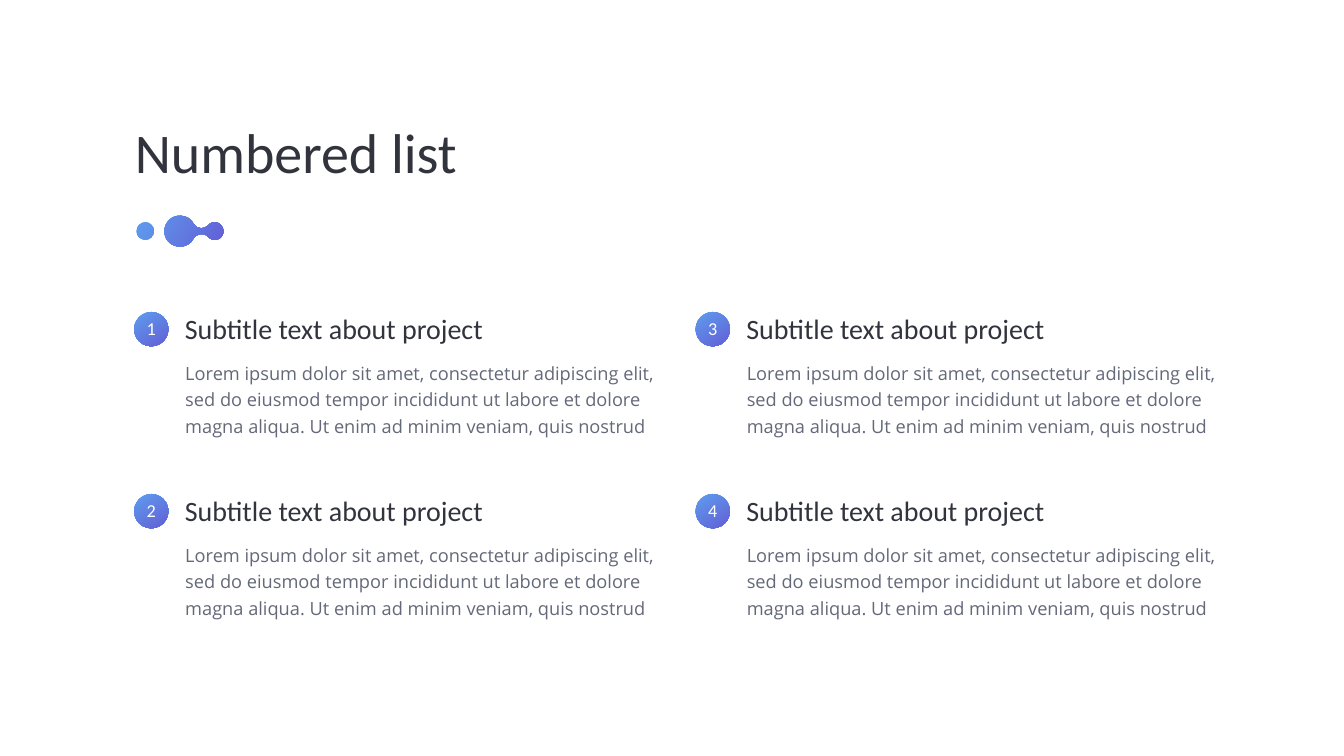
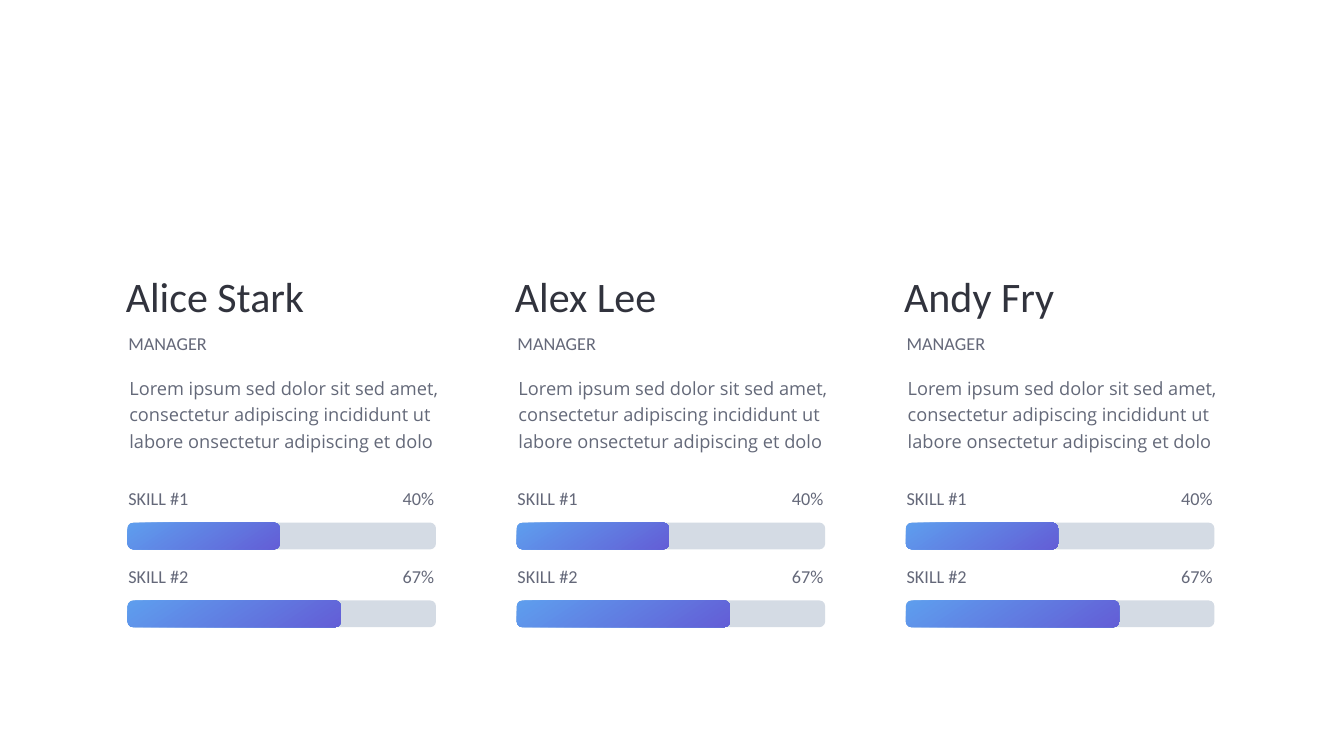
from dataclasses import dataclass

from lxml.etree import SubElement
from pptx import Presentation
from pptx.dml.color import RGBColor
from pptx.enum.shapes import MSO_SHAPE
from pptx.enum.text import MSO_ANCHOR, MSO_AUTO_SIZE, PP_ALIGN
from pptx.oxml.ns import qn
from pptx.shapes.autoshape import Shape
from pptx.slide import Slide
from pptx.util import Pt

# Shared look
INK = RGBColor(0x31, 0x33, 0x3D)
BODY_GREY = RGBColor(0x64, 0x69, 0x79)
LABEL_GREY = RGBColor(0x64, 0x68, 0x79)
TRACK_GREY = RGBColor(0xD4, 0xDB, 0xE4)
WHITE = RGBColor(0xFF, 0xFF, 0xFF)
SKY = RGBColor(0x5E, 0x9E, 0xEE)
VIOLET = RGBColor(0x63, 0x5E, 0xD6)
INSET = Pt(4)


@dataclass(frozen=True)
class TextStyle:
    size: float
    color: RGBColor
    font: str = "Calibri"
    align: PP_ALIGN = PP_ALIGN.LEFT
    anchor: MSO_ANCHOR = MSO_ANCHOR.MIDDLE
    line_spacing: float = 1.0


TITLE = TextStyle(80, INK)
NAME = TextStyle(60, INK)
SUBTITLE = TextStyle(40, INK)
BODY = TextStyle(26, BODY_GREY, "Open Sans", anchor=MSO_ANCHOR.TOP, line_spacing=1.2)
LABEL = TextStyle(26, LABEL_GREY)
PERCENT = TextStyle(26, LABEL_GREY, align=PP_ALIGN.RIGHT)
NUMBER = TextStyle(26, WHITE, align=PP_ALIGN.CENTER)


@dataclass(frozen=True)
class Box:
    left: float
    top: float
    width: float
    height: float

    def moved(self, dx: float, dy: float = 0) -> "Box":
        return Box(self.left + dx, self.top + dy, self.width, self.height)

    def lengths(self) -> tuple[Pt, Pt, Pt, Pt]:
        return Pt(self.left), Pt(self.top), Pt(self.width), Pt(self.height)


@dataclass(frozen=True)
class Skill:
    label: str
    percent: str
    bar_width: float


Point = tuple[float, float]


@dataclass(frozen=True)
class Contour:
    start: Point
    curves: tuple[tuple[Point, Point, Point], ...]


# Numbered list: parts of the first item and the grid pitch
LIST_TITLE = Box(188.6, 163.4, 949, 103.7)
ITEM_BADGE = Box(191.5, 445.7, 49, 49)
ITEM_NUMBER = Box(190.8, 449.3, 50.4, 38.9)
ITEM_SUBTITLE = Box(259.9, 441.4, 541.4, 56.2)
ITEM_BODY = Box(260.6, 507.6, 681.8, 120.2)
ITEM_DX, ITEM_DY = 802, 260
ITEM_ROWS, ITEM_COUNT = 2, 4
ITEM_TEXT = (
    "Lorem ipsum dolor sit amet, consectetur adipiscing elit, sed do eiusmod tempor "
    "incididunt ut labore et dolore magna aliqua. Ut enim ad minim veniam, quis nostrud"
)

# Team: parts of the first member and the pitches
MEMBER_NAME = Box(175.6, 382.3, 370.8, 79.9)
MEMBER_ROLE = Box(179.2, 470.2, 301.7, 38.9)
MEMBER_BODY = Box(180.7, 529.2, 455, 120.2)
SKILL_LABEL = Box(179.2, 691.9, 123.8, 38.9)
SKILL_PERCENT = Box(500.4, 691.9, 123.8, 38.9)
SKILL_TRACK = Box(182.1, 746.6, 440.6, 38.2)
MEMBER_DX, SKILL_DY = 555.84, 111.2
BAR_ROUNDING = 0.215
MEMBERS = ("Alice Stark", "Alex Lee", "Andy Fry")
SKILLS = (Skill("SKILL #1", "40%", 217.4), Skill("SKILL #2", "67%", 304.6))
MEMBER_TEXT = (
    "Lorem ipsum sed dolor sit sed amet, consectetur adipiscing incididunt ut labore "
    "onsectetur adipiscing et dolo"
)

# Ornament under the title: two linked drops and a dot
ORNAMENT = Box(195.1, 308, 123.9, 44.2)
LINKED_DROPS = Contour(
    (257.8, 308.2),
    (
        ((245.5, 307.4), (234.7, 317.5), (234.7, 330.5)),
        ((234.7, 342), (244.1, 352.1), (256.3, 352.1)),
        ((265, 352.8), (272.9, 347.8), (276.5, 340.6)),
        ((277.9, 337.7), (280.8, 335.5), (284.4, 334.8)),
        ((289.4, 333.4), (293.8, 334.8), (297.4, 338.4)),
        ((304.6, 347), (319, 342), (319, 330.5)),
        ((319, 318.2), (304.6, 313.2), (297.4, 321.8)),
        ((294.5, 324.7), (290.9, 326.2), (287.3, 326.2)),
        ((283, 326.2), (278.6, 323.3), (276.5, 319.7)),
        ((272.9, 312.5), (265.7, 308.2), (257.8, 308.2)),
    ),
)
DOT = Contour(
    (207.4, 317.5),
    (
        ((204.5, 317.5), (200.9, 319), (198.7, 321.1)),
        ((193.7, 326.2), (193.7, 334.1), (198.7, 339.1)),
        ((203.8, 343.4), (211.7, 343.4), (216, 339.1)),
        ((221, 334.1), (221, 326.2), (216, 321.1)),
        ((213.8, 319), (211, 317.5), (207.4, 317.5)),
    ),
)


def add_text(slide: Slide, box: Box, text: str, style: TextStyle) -> None:
    frame = slide.shapes.add_textbox(*box.lengths()).text_frame
    frame.word_wrap = True
    frame.auto_size = MSO_AUTO_SIZE.SHAPE_TO_FIT_TEXT
    frame.vertical_anchor = style.anchor
    frame.margin_left = frame.margin_right = INSET
    frame.margin_top = frame.margin_bottom = INSET
    frame.text = text
    paragraph = frame.paragraphs[0]
    paragraph.alignment = style.align
    paragraph.line_spacing = style.line_spacing
    font = paragraph.runs[0].font
    font.size = Pt(style.size)
    font.name = style.font
    font.color.rgb = style.color


def fill_gradient(shape: Shape, clockwise_angle: float = 56) -> None:
    shape.fill.gradient()
    shape.fill.gradient_angle = 360 - clockwise_angle
    for stop, color in zip(shape.fill.gradient_stops, (SKY, VIOLET)):
        stop.color.rgb = color


def add_plain_shape(slide: Slide, kind: MSO_SHAPE, box: Box) -> Shape:
    shape = slide.shapes.add_shape(kind, *box.lengths())
    shape.shadow.inherit = False
    shape.line.fill.background()
    return shape


def add_bar(slide: Slide, box: Box) -> Shape:
    bar = add_plain_shape(slide, MSO_SHAPE.ROUNDED_RECTANGLE, box)
    bar.adjustments[0] = BAR_ROUNDING
    return bar


def add_curved_shape(slide: Slide, box: Box, contours: tuple[Contour, ...]) -> Shape:
    left, top, width, height = box.lengths()
    builder = slide.shapes.build_freeform(left, top)
    builder.add_line_segments(
        [(left + width, top), (left + width, top + height), (left, top + height)]
    )
    shape = builder.convert_to_shape()
    outline = shape.element.find(".//" + qn("a:path"))
    for segment in list(outline):
        outline.remove(segment)

    def add_segment(tag: str, *points: Point) -> None:
        segment = SubElement(outline, qn(tag))
        for x, y in points:
            SubElement(segment, qn("a:pt"), x=str(Pt(x) - left), y=str(Pt(y) - top))

    for contour in contours:
        add_segment("a:moveTo", contour.start)
        for curve in contour.curves:
            add_segment("a:cubicBezTo", *curve)
        add_segment("a:close")
    shape.shadow.inherit = False
    shape.line.fill.background()
    return shape


def build_numbered_list(slide: Slide) -> None:
    add_text(slide, LIST_TITLE, "Numbered list", TITLE)
    fill_gradient(add_curved_shape(slide, ORNAMENT, (LINKED_DROPS, DOT)), 33)
    for index in range(ITEM_COUNT):
        column, row = divmod(index, ITEM_ROWS)
        offset = column * ITEM_DX, row * ITEM_DY
        add_text(slide, ITEM_BODY.moved(*offset), ITEM_TEXT, BODY)
        fill_gradient(add_plain_shape(slide, MSO_SHAPE.OVAL, ITEM_BADGE.moved(*offset)))
        add_text(slide, ITEM_NUMBER.moved(*offset), str(index + 1), NUMBER)
        add_text(slide, ITEM_SUBTITLE.moved(*offset), "Subtitle text about project", SUBTITLE)


def add_skill(slide: Slide, skill: Skill, dx: float, dy: float) -> None:
    track = SKILL_TRACK.moved(dx, dy)
    track_bar = add_bar(slide, track)
    track_bar.fill.solid()
    track_bar.fill.fore_color.rgb = TRACK_GREY
    fill_gradient(add_bar(slide, Box(track.left, track.top, skill.bar_width, track.height)))
    add_text(slide, SKILL_LABEL.moved(dx, dy), skill.label, LABEL)
    add_text(slide, SKILL_PERCENT.moved(dx, dy), skill.percent, PERCENT)


def build_team(slide: Slide) -> None:
    for column, member in enumerate(MEMBERS):
        dx = column * MEMBER_DX
        add_text(slide, MEMBER_NAME.moved(dx), member, NAME)
        add_text(slide, MEMBER_BODY.moved(dx), MEMBER_TEXT, BODY)
        add_text(slide, MEMBER_ROLE.moved(dx), "MANAGER", LABEL)
        for row, skill in enumerate(SKILLS):
            add_skill(slide, skill, dx, row * SKILL_DY)


def main() -> None:
    deck = Presentation()
    deck.slide_width, deck.slide_height = Pt(1919.52), Pt(1080)
    blank = deck.slide_layouts[6]
    for build in (build_numbered_list, build_team):
        slide = deck.slides.add_slide(blank)
        slide.background.fill.solid()
        slide.background.fill.fore_color.rgb = WHITE
        build(slide)
    deck.save("out.pptx")


if __name__ == "__main__":
    main()
